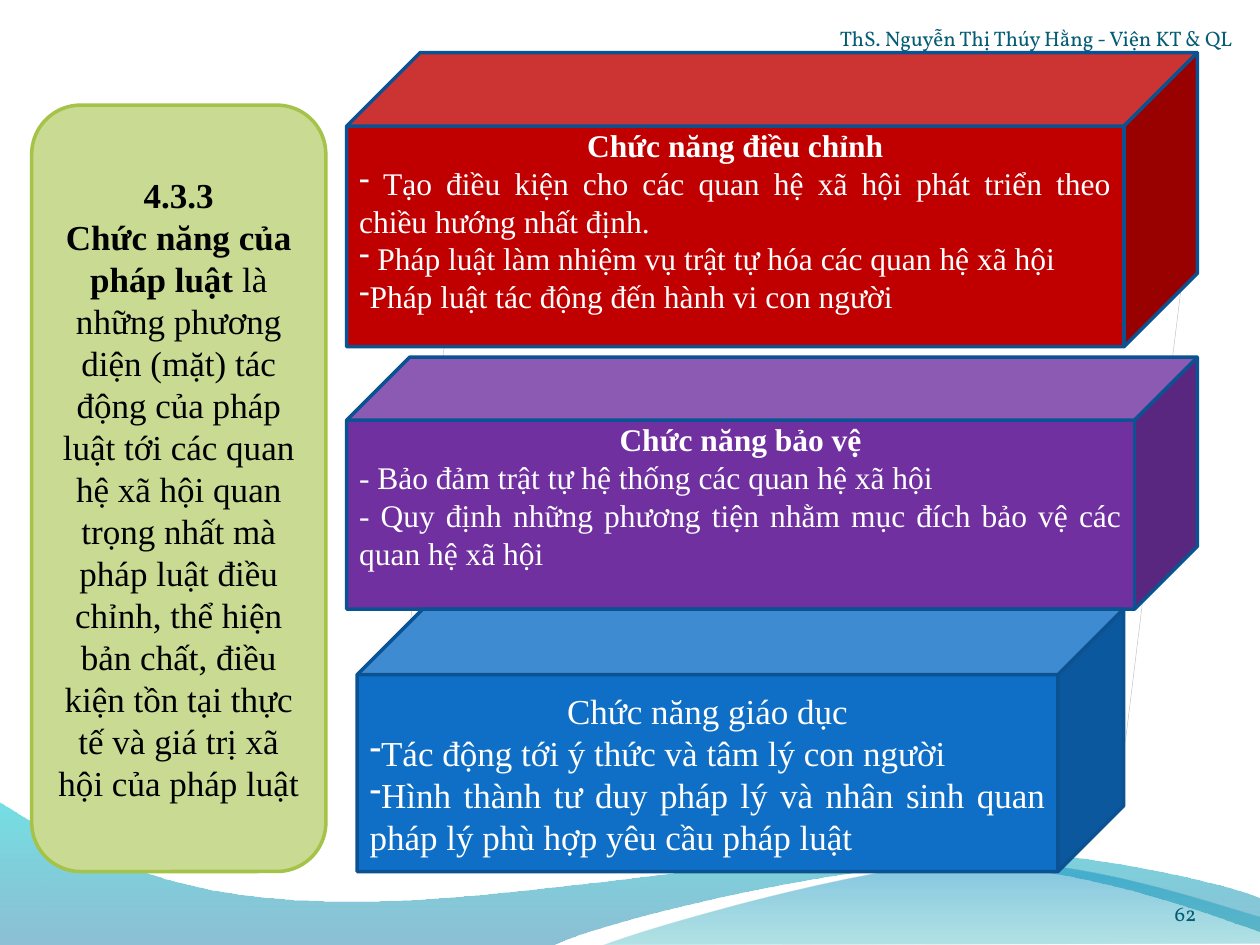
from lxml.etree import SubElement
from pptx import Presentation
from pptx.dml.color import RGBColor
from pptx.enum.shapes import MSO_SHAPE
from pptx.enum.text import MSO_ANCHOR, PP_ALIGN
from pptx.oxml.ns import qn
from pptx.util import Cm, Pt

COLORS = {
    "white": "FFFFFF", "black": "000000", "paper edge": "C0C0C0",
    "red": "C00000", "purple": "7030A0", "blue": "0F6FC6", "cube edge": "0B5292",
    "green": "C9DA92", "green edge": "A5C249", "footer": "045D75",
    "deep blue": "0074A1", "cyan": "00C6CF", "teal": "00A1A9", "sky": "008BBF",
}
BODY_FONT = "Times New Roman"
FOOTER_FONT = "Vollkorn"

BACK_WAVE = [
    [(0.03, 2.9)], [(11.2, 2.9)],
    [(12.12, 2.44), (16.89, 1.27), (19.28, 1.27)],
    [(21.69, 1.27), (24.36, 2.24), (25.43, 2.64)],
    [(25.45, 1.96)],
    [(24.99, 1.75), (22.12, 0.94), (18.97, 0.97)],
    [(15.82, 0.97), (9.73, 2.16), (6.55, 2.01)],
    [(3.3, 1.98), (1.19, 0.76), (0, 0)],
]
FRONT_WAVE = [
    [(0, 1.78)],
    [(0.76, 1.47), (5.16, 0.18), (7.37, 0.1)],
    [(9.58, 0), (12.24, 0.94), (13.23, 1.22)],
    [(13.23, 1.75)],
]

REGULATION = [
    ("Chức năng điều chỉnh", True, False),
    (" Tạo điều kiện cho các quan hệ xã hội phát triển theo chiều hướng nhất định.", False, True),
    (" Pháp luật làm nhiệm vụ trật tự hóa các quan hệ xã hội", False, True),
    ("Pháp luật tác động đến hành vi con người", False, True),
]
PROTECTION = [
    ("Chức năng bảo vệ", True, False),
    ("- Bảo đảm trật tự hệ thống các quan hệ xã hội", False, False),
    ("- Quy định những phương tiện nhằm mục đích bảo vệ các quan hệ xã hội", False, False),
]
EDUCATION = [
    ("Chức năng giáo dục", False, False),
    ("Tác động tới ý thức và tâm lý con người", False, True),
    ("Hình thành tư duy pháp lý và nhân sinh quan pháp lý phù hợp yêu cầu pháp luật", False, True),
]
DEFINITION = (
    "là những phương diện (mặt) tác động của pháp luật tới các quan hệ xã hội quan trọng nhất "
    "mà pháp luật điều chỉnh, thể hiện bản chất, điều kiện tồn tại thực tế và giá trị xã hội của pháp luật"
)


def color(name):
    return RGBColor.from_string(COLORS[name])


def set_font(paragraph, name, size, ink, bold=None):
    paragraph.font.name = name
    paragraph.font.size = Pt(size)
    paragraph.font.color.rgb = color(ink)
    paragraph.font.bold = bold


def add_outlined(slide, preset, box, fill, edge, width=2):
    shape = slide.shapes.add_shape(preset, *map(Cm, box))
    shape.shadow.inherit = False
    shape.fill.solid()
    shape.fill.fore_color.rgb = color(fill)
    shape.line.color.rgb = color(edge)
    shape.line.width = Pt(width)
    return shape


def trace(segments, steps=16):
    points = list(segments[0])
    for segment in segments[1:]:
        if len(segment) == 1:
            points += segment
            continue
        controls = [points[-1], *segment]
        for step in range(1, steps + 1):
            t = step / steps
            weights = ((1 - t) ** 3, 3 * t * (1 - t) ** 2, 3 * t * t * (1 - t), t ** 3)
            points.append(tuple(sum(w * c[axis] for w, c in zip(weights, controls)) for axis in (0, 1)))
    return points


def add_wave(slide, left, top, segments, stops):
    start, *rest = [(Cm(left + x), Cm(top + y)) for x, y in trace(segments)]
    outline = slide.shapes.build_freeform(*start)
    outline.add_line_segments(rest, close=True)
    wave = outline.convert_to_shape()
    wave.shadow.inherit = False
    wave.line.fill.background()
    wave.fill.gradient()
    wave.fill.gradient_angle = 90
    for gradient_stop, (position, name, _) in zip(wave.fill.gradient_stops, stops):
        gradient_stop.position = position
        gradient_stop.color.rgb = color(name)
    for tint, (_, _, opacity) in zip(wave.element.spPr.iter(qn("a:srgbClr")), stops):
        SubElement(tint, qn("a:alpha")).set("val", str(opacity * 1000))


def add_paper(slide, left, top):
    sheet = add_outlined(slide, MSO_SHAPE.SNIP_ROUND_RECTANGLE, (left, top, 14.6, 11.43),
                         "white", "paper edge", 0.25)
    sheet.adjustments[0] = 0
    sheet.adjustments[1] = 0.036
    corner = add_outlined(slide, MSO_SHAPE.RIGHT_TRIANGLE, (left + 13.43, top + 11.81, 0.43, 0.43),
                          "white", "white", 1)
    for part in (sheet, corner):
        part.rotation = 7
        part.element.spPr.find(qn("a:xfrm")).set("flipV", "1")


def add_cube(slide, box, fill, lines, size, top_aligned):
    cube = add_outlined(slide, MSO_SHAPE.CUBE, box, fill, "cube edge")
    frame = cube.text_frame
    frame.word_wrap = True
    frame.vertical_anchor = MSO_ANCHOR.TOP if top_aligned else MSO_ANCHOR.MIDDLE
    if top_aligned:
        frame.margin_top = 0
    for index, (text, bold, dashed) in enumerate(lines):
        paragraph = frame.add_paragraph() if index else frame.paragraphs[0]
        paragraph.text = text
        paragraph.alignment = PP_ALIGN.JUSTIFY if index else PP_ALIGN.CENTER
        if dashed:
            properties = paragraph._p.get_or_add_pPr()
            SubElement(properties, qn("a:buFontTx"))
            SubElement(properties, qn("a:buChar")).set("char", "-")
        set_font(paragraph, BODY_FONT, size, "white", bold)


def add_definition(slide, box):
    panel = add_outlined(slide, MSO_SHAPE.ROUNDED_RECTANGLE, box, "green", "green edge")
    frame = panel.text_frame
    frame.word_wrap = True
    frame.vertical_anchor = MSO_ANCHOR.MIDDLE
    number, definition = frame.paragraphs[0], frame.add_paragraph()
    number.text = "4.3.3"
    term = definition.add_run()
    term.text = "Chức năng của pháp luật "
    term.font.bold = True
    definition.add_run().text = DEFINITION
    for paragraph, bold in ((number, True), (definition, None)):
        paragraph.alignment = PP_ALIGN.CENTER
        set_font(paragraph, BODY_FONT, 20, "black", bold)


def add_margin_note(slide, box, text, alignment):
    frame = slide.shapes.add_textbox(*map(Cm, box)).text_frame
    frame.word_wrap = True
    frame.vertical_anchor = MSO_ANCHOR.BOTTOM
    frame.margin_left = frame.margin_right = frame.margin_top = frame.margin_bottom = 0
    note = frame.paragraphs[0]
    note.text = text
    note.alignment = alignment
    set_font(note, FOOTER_FONT, 12, "footer")


def main():
    deck = Presentation()
    deck.slide_width, deck.slide_height = Cm(25.4), Cm(19.05)
    slide = deck.slides.add_slide(deck.slide_layouts[6])
    add_paper(slide, 8.79, 3.07)
    add_wave(slide, -0.03, 16.15, BACK_WAVE, [(0, "deep blue", 45), (1, "cyan", 55)])
    add_wave(slide, 12.17, 17.27, FRONT_WAVE, [(0, "teal", 30), (0.8, "sky", 45)])
    add_cube(slide, (6.99, 1.06, 17.15, 5.93), "red", REGULATION, 18, True)
    add_cube(slide, (6.99, 7.2, 17.15, 5.08), "purple", PROTECTION, 18, True)
    add_cube(slide, (7.2, 12.28, 15.45, 5.29), "blue", EDUCATION, 20, False)
    add_definition(slide, (0.64, 2.12, 5.93, 15.45))
    add_margin_note(slide, (16.93, 0, 8.47, 1.02), "ThS. Nguyễn Thị Thúy Hằng - Viện KT & QL", PP_ALIGN.LEFT)
    add_margin_note(slide, (22.43, 17.65, 1.69, 1.02), "62", PP_ALIGN.RIGHT)
    deck.save("out.pptx")


if __name__ == "__main__":
    main()
